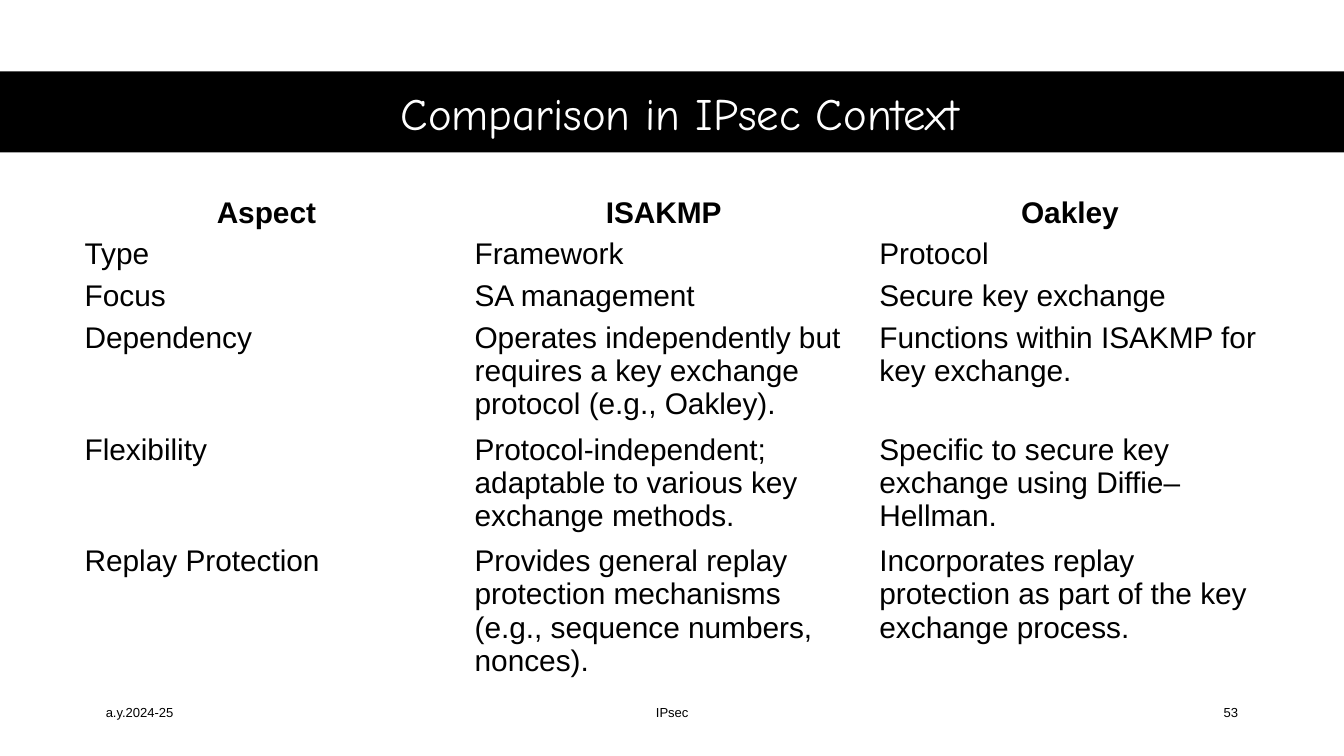
from pptx import Presentation
from pptx.dml.color import RGBColor
from pptx.enum import shapes, text
from pptx.util import Cm, Pt

BLACK = RGBColor(0, 0, 0)
WHITE = RGBColor(255, 255, 255)
LEFT, CENTER, RIGHT = text.PP_ALIGN.LEFT, text.PP_ALIGN.CENTER, text.PP_ALIGN.RIGHT


def write(tf, content, size, align, color=BLACK, font="Arial", bold=False):
    tf.word_wrap = True
    tf.text = content
    p = tf.paragraphs[0]
    p.alignment = align
    r = p.runs[0]
    r.font.size = Pt(size)
    r.font.name = font
    r.font.bold = bold
    r.font.color.rgb = color
    return p


prs = Presentation()
prs.slide_width, prs.slide_height = Cm(25.4), Cm(14.29)
s = prs.slides.add_slide(prs.slide_layouts[6])

# Title band
sp = s.shapes.add_shape(shapes.MSO_SHAPE.RECTANGLE, 0, Cm(1.35), Cm(25.4), Cm(1.53))
sp.shadow.inherit = False
sp.fill.solid()
sp.fill.fore_color.rgb = BLACK
sp.line.fill.background()

# Title
sp = s.shapes.add_textbox(Cm(1.17), Cm(1.35), Cm(23.37), Cm(1.55))
sp.text_frame.vertical_anchor = text.MSO_ANCHOR.MIDDLE
write(sp.text_frame, "Comparison in IPsec Context", 24, CENTER, WHITE, "Comic Neue")

# Footer: date, topic, page number
for left, width, content, align in [
    (1.75, 5.72, "a.y.2024-25", LEFT),
    (8.41, 8.59, "IPsec", CENTER),
    (17.93, 5.72, "53", RIGHT),
]:
    sp = s.shapes.add_textbox(Cm(left), Cm(13.23), Cm(width), Cm(0.76))
    p = write(sp.text_frame, content, 7, align)
    p.line_spacing = 0.9
    p.space_after = Pt(6)

# Comparison table
rows = [
    ("Aspect", "ISAKMP", "Oakley"),
    ("Type", "Framework", "Protocol"),
    ("Focus", "SA management", "Secure key exchange"),
    ("Dependency",
     "Operates independently but requires a key exchange protocol (e.g., Oakley).",
     "Functions within ISAKMP for key exchange."),
    ("Flexibility",
     "Protocol-independent; adaptable to various key exchange methods.",
     "Specific to secure key exchange using Diffie–Hellman."),
    ("Replay Protection",
     "Provides general replay protection mechanisms (e.g., sequence numbers, nonces).",
     "Incorporates replay protection as part of the key exchange process."),
]
widths = [7.37, 7.65, 7.7]
heights = [0.79] * 3 + [2.11] * 3
table = s.shapes.add_table(len(rows), len(widths), Cm(1.35), Cm(3.71),
                           Cm(sum(widths)), Cm(sum(heights))).table
table.first_row = table.horz_banding = False
for column, width in zip(table.columns, widths):
    column.width = Cm(width)
for i, (row, height) in enumerate(zip(rows, heights)):
    table.rows[i].height = Cm(height)
    for j, content in enumerate(row):
        cell = table.cell(i, j)
        cell.fill.background()
        cell.margin_left = cell.margin_right = Cm(0.25)
        cell.margin_top = cell.margin_bottom = 0
        write(cell.text_frame, content, 16, LEFT if i else CENTER, bold=i == 0)

prs.save("out.pptx")
